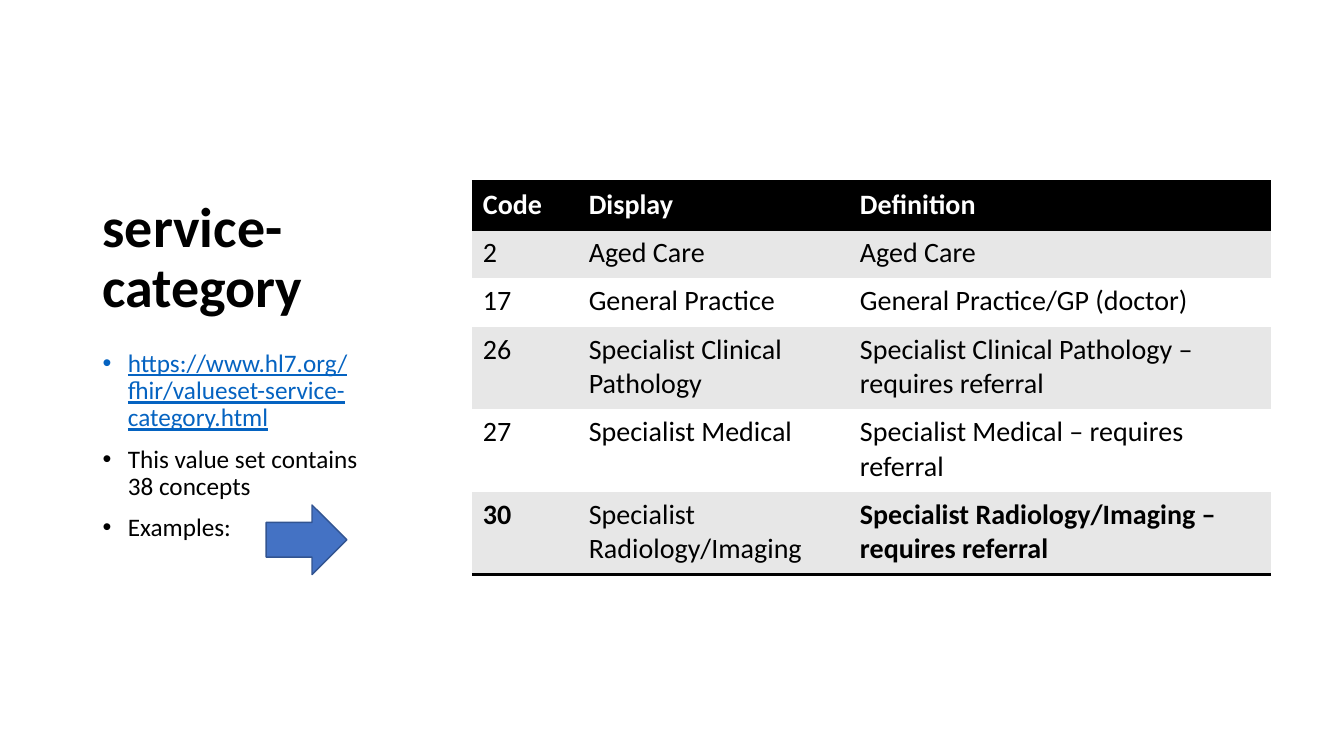
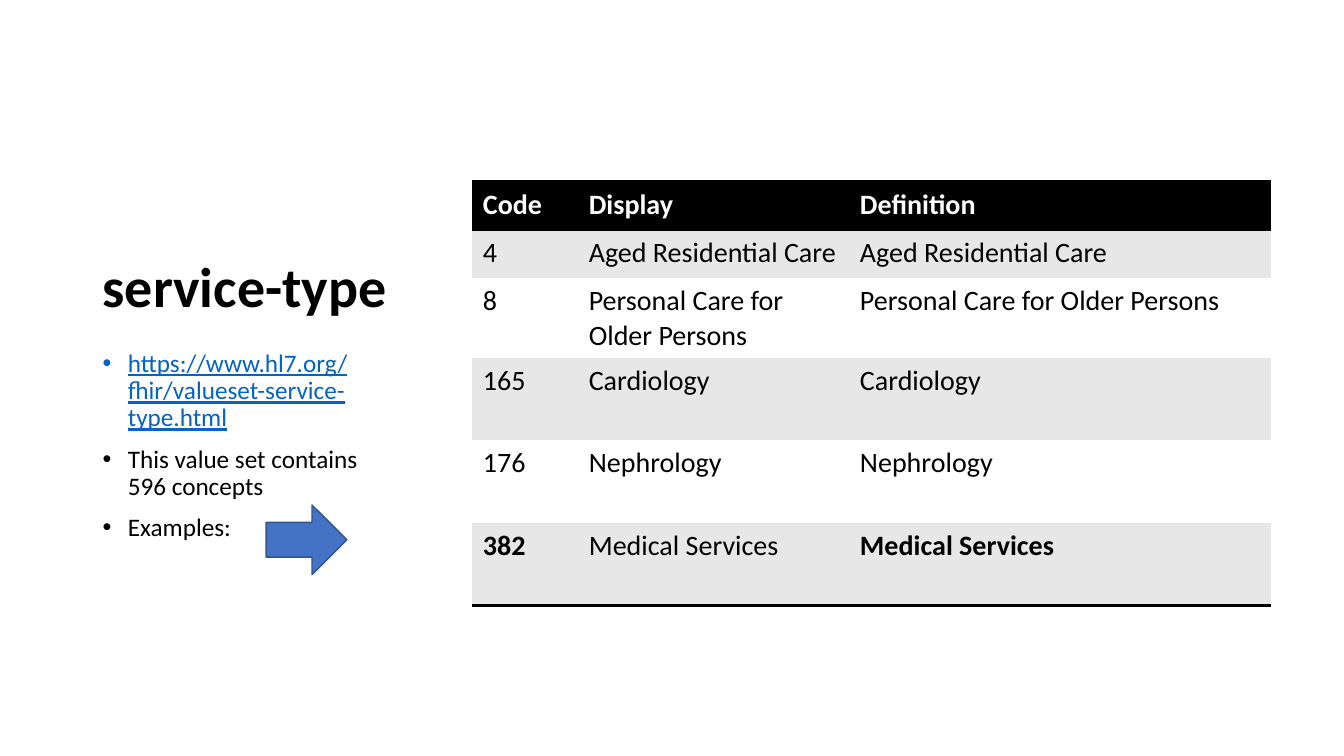
from lxml import etree
from pptx import Presentation, util as u
from pptx.dml.color import RGBColor
from pptx.enum import shapes, text
from pptx.oxml import ns

COLOURS = {"ink": "000000", "paper": "FFFFFF", "band": "E7E7E7", "link": "0563C1",
           "arrow": "4472C4", "arrow_edge": "325491"}
TITLE = {"size": u.Pt(40), "bold": True}
BULLET = {"size": u.Pt(18)}
LINK = {"size": u.Pt(18), "underline": True}
CELL_MARGINS = {"margin_left": 0.11, "margin_right": 0.11, "margin_top": 0.06, "margin_bottom": 0.06}
COLUMN_WIDTHS = [1.05, 2.69, 4.19]
ROW_HEIGHTS = [0.48] * 3 + [0.82] * 3
HEADER = ("Code", "Display", "Definition")
NO_GRID_STYLE = "{2D5ABB26-0587-4C30-8999-92F81FD0307C}"

VALUE_SETS = [
    ("service-category", 38, [
        ("2", "Aged Care", "Aged Care"),
        ("17", "General Practice", "General Practice/GP (doctor)"),
        ("26", "Specialist Clinical Pathology", "Specialist Clinical Pathology – requires referral"),
        ("27", "Specialist Medical", "Specialist Medical – requires referral"),
        ("30", "Specialist Radiology/Imaging", "Specialist Radiology/Imaging – requires referral")]),
    ("service-type", 596, [
        ("4", "Aged Residential Care", "Aged Residential Care"),
        ("8", "Personal Care for Older Persons", "Personal Care for Older Persons"),
        ("165", "Cardiology", "Cardiology"),
        ("176", "Nephrology", "Nephrology"),
        ("382", "Medical Services", "Medical Services")]),
]


def write(paragraph, words, colour, look):
    run = paragraph.add_run()
    run.text = words
    run.font.name = "Calibri"
    run.font.color.rgb = RGBColor.from_string(COLOURS[colour])
    for key, value in look.items():
        setattr(run.font, key, value)


def add_rule(cell_properties, side):
    rule = etree.Element(ns.qn(f"a:{side}"), w=str(u.Pt(2)))
    fill = etree.SubElement(rule, ns.qn("a:solidFill"))
    etree.SubElement(fill, ns.qn("a:srgbClr"), val=COLOURS["ink"])
    cell_properties.insert(0, rule)


deck = Presentation()
deck.slide_width, deck.slide_height = u.Inches(13.33), u.Inches(7.5)

for name, concepts, examples in VALUE_SETS:
    slide = deck.slides.add_slide(deck.slide_layouts[6])

    title = slide.shapes.add_textbox(u.Inches(0.92), u.Inches(0.7), u.Inches(3.06), u.Inches(2.52)).text_frame
    title.word_wrap = True
    title.vertical_anchor = text.MSO_ANCHOR.BOTTOM
    title.paragraphs[0].line_spacing = 0.9
    write(title.paragraphs[0], name, "ink", TITLE)

    summary = slide.shapes.add_textbox(u.Inches(0.92), u.Inches(3.43), u.Inches(3.03), u.Inches(3.37))
    summary.text_frame.word_wrap = True
    points = [(f"https://www.hl7.org/fhir/valueset-{name}.html", "link", LINK),
              (f"This value set contains {concepts} concepts", "ink", BULLET),
              ("Examples:", "ink", BULLET)]
    for i, point in enumerate(points):
        paragraph = summary.text_frame.add_paragraph() if i else summary.text_frame.paragraphs[0]
        paragraph.line_spacing = 0.9
        paragraph.space_before = u.Pt(10)
        write(paragraph, *point)
    for properties in summary.element.iter(ns.qn("a:pPr")):
        properties.set("marL", str(u.Inches(0.25)))
        properties.set("indent", str(-u.Inches(0.25)))
        etree.SubElement(properties, ns.qn("a:buFont"), typeface="Arial")
        etree.SubElement(properties, ns.qn("a:buChar"), char="•")

    arrow = slide.shapes.add_shape(shapes.MSO_SHAPE.RIGHT_ARROW, u.Inches(2.64), u.Inches(5.01),
                                   u.Inches(0.8), u.Inches(0.69))
    arrow.shadow.inherit = False
    arrow.fill.solid()
    arrow.fill.fore_color.rgb = RGBColor.from_string(COLOURS["arrow"])
    arrow.line.color.rgb = RGBColor.from_string(COLOURS["arrow_edge"])
    arrow.line.width = u.Pt(1)

    rows = [HEADER, *examples]
    last = len(rows) - 1
    frame = slide.shapes.add_table(len(rows), len(HEADER), u.Inches(4.68), u.Inches(1.8),
                                   u.Inches(sum(COLUMN_WIDTHS)), u.Inches(sum(ROW_HEIGHTS)))
    for style in frame.element.iter(ns.qn("a:tableStyleId")):
        style.text = NO_GRID_STYLE
    for column, width in zip(frame.table.columns, COLUMN_WIDTHS):
        column.width = u.Inches(width)
    for r, (row, height) in enumerate(zip(rows, ROW_HEIGHTS)):
        frame.table.rows[r].height = u.Inches(height)
        band = "ink" if r == 0 else "band" if r % 2 else "paper"
        for c, words in enumerate(row):
            cell = frame.table.cell(r, c)
            for side, inset in CELL_MARGINS.items():
                setattr(cell, side, u.Inches(inset))
            cell.fill.solid()
            cell.fill.fore_color.rgb = RGBColor.from_string(COLOURS[band])
            bold = r == 0 or (r == last and c != 1)
            write(cell.text_frame.paragraphs[0], words, "ink" if r else "paper",
                  {"size": u.Pt(20), "bold": bold})

    table_rows = list(frame.element.iter(ns.qn("a:tr")))
    for r, side in [(0, "lnB"), (0, "lnT"), (last, "lnB")]:
        for cell_properties in table_rows[r].iter(ns.qn("a:tcPr")):
            add_rule(cell_properties, side)

deck.save("out.pptx")
